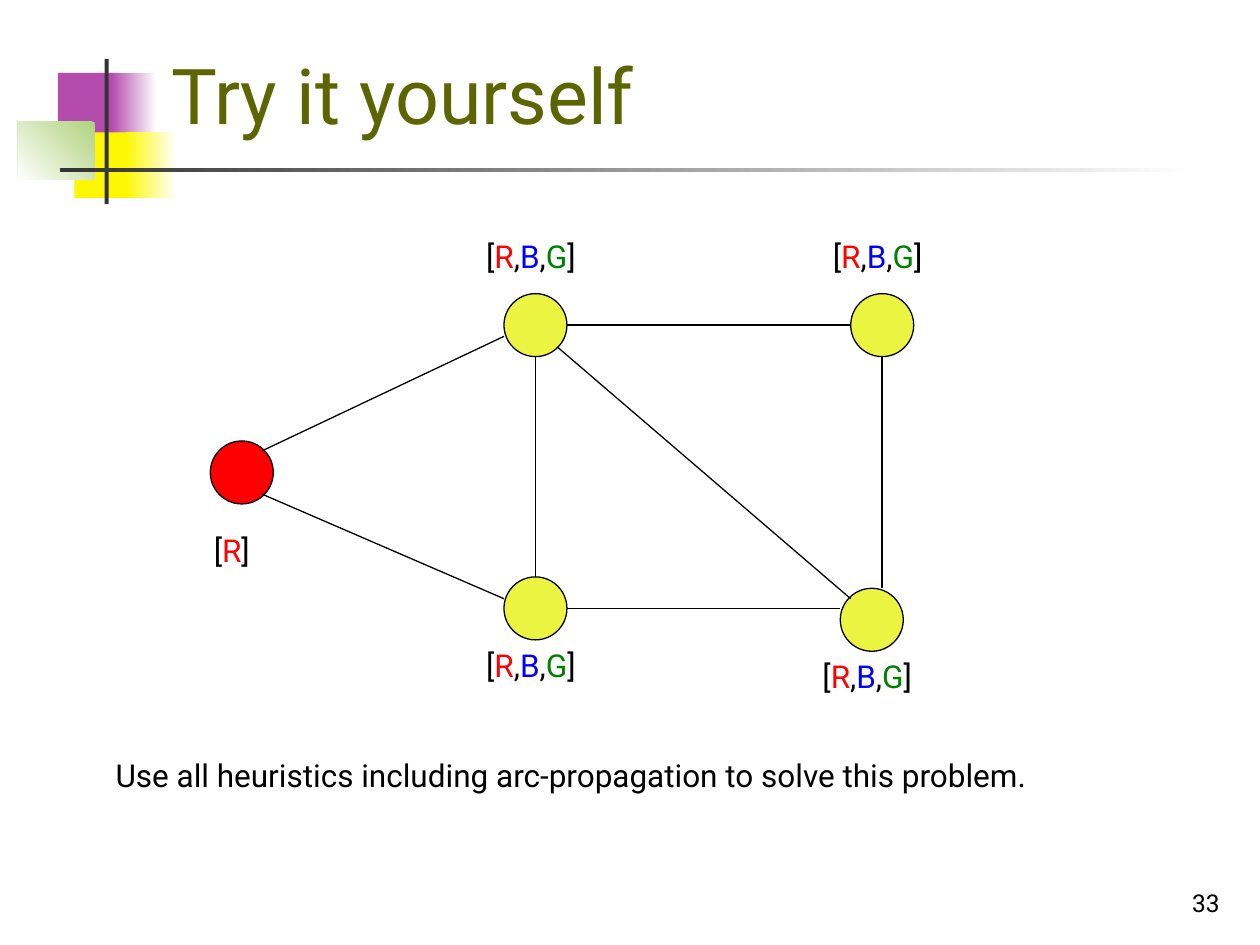
from dataclasses import dataclass

from lxml import etree
from pptx import Presentation
from pptx.dml.color import RGBColor
from pptx.enum import shapes, text
from pptx.oxml.ns import qn
from pptx.util import Cm, Pt


@dataclass(frozen=True)
class Theme:
    font: str = "Roboto"
    title_size: int = 44
    body_size: int = 18
    number_size: int = 14
    title: str = "5B6501"
    ink: str = "000000"
    white: str = "FFFFFF"
    purple: str = "B44CAD"
    yellow: str = "FDF703"
    green: str = "B0D27E"
    bar: str = "333333"
    unassigned: str = "EBF440"
    red: str = "FF0000"
    domain_blue: str = "0000FF"
    domain_green: str = "008000"
    line_width: float = 0.75


THEME = Theme()
DOMAIN_COLORS = {"R": THEME.red, "B": THEME.domain_blue, "G": THEME.domain_green}
NODE_SIZE = 1.27
TEXT_HEIGHT = 1.02


# All positions and sizes below are in centimetres.
@dataclass(frozen=True)
class Block:
    left: float
    top: float
    width: float
    height: float
    colors: tuple[str, ...]  # one colour is solid, two make a gradient
    angle: int = 180  # counter-clockwise


@dataclass(frozen=True)
class Node:
    left: float
    top: float
    domain: str
    label_dx: float
    label_dy: float
    label_width: float = 2.54
    color: str = THEME.unassigned


@dataclass(frozen=True)
class Edge:
    x1: float
    y1: float
    x2: float
    y2: float


BLOCKS = [
    Block(1.17, 1.47, 1.22, 1.32, (THEME.purple,)),
    Block(2.24, 1.47, 0.91, 1.32, (THEME.white, THEME.purple)),
    Block(1.5, 2.67, 1.17, 1.32, (THEME.yellow,)),
    Block(2.54, 2.67, 1.02, 1.32, (THEME.white, THEME.yellow)),
    Block(0.36, 2.46, 1.55, 1.17, (THEME.green, THEME.white), 225),
    Block(2.11, 1.19, 0.08, 2.92, (THEME.bar,)),
    Block(1.22, 3.38, 22.86, 0.08, (THEME.white, THEME.bar)),
]
NODES = [
    Node(4.24, 8.89, "[R]", -0.18, 1.7, 1.32, THEME.red),
    Node(10.16, 11.63, "[R,B,G]", -0.61, 1.27),
    Node(10.16, 5.92, "[R,B,G]", -0.61, -1.27),
    Node(16.94, 11.86, "[R,B,G]", -0.61, 1.27),
    Node(17.15, 5.92, "[R,B,G]", -0.61, -1.27),
]
EDGES = [
    Edge(5.28, 9.09, 10.16, 6.78),
    Edge(5.28, 9.96, 10.16, 12.07),
    Edge(10.8, 7.19, 10.8, 11.63),
    Edge(11.43, 6.55, 17.15, 6.55),
    Edge(17.78, 7.19, 17.78, 11.86),
    Edge(11.43, 12.27, 16.94, 12.27),
    Edge(11.23, 6.99, 17.15, 12.07),
]


def rgb(color: str) -> RGBColor:
    return RGBColor.from_string(color)


def draw_block(slide, block: Block) -> None:
    shape = slide.shapes.add_shape(
        shapes.MSO_SHAPE.RECTANGLE,
        Cm(block.left), Cm(block.top), Cm(block.width), Cm(block.height))
    shape.shadow.inherit = False
    shape.line.fill.background()
    if len(block.colors) == 1:
        shape.fill.solid()
        shape.fill.fore_color.rgb = rgb(block.colors[0])
        return
    shape.fill.gradient()
    shape.fill.gradient_angle = block.angle
    for stop, color in zip(shape.fill.gradient_stops, block.colors):
        stop.color.rgb = rgb(color)


def add_text(slide, left: float, top: float, width: float, height: float,
             size: int = THEME.body_size, color: str = THEME.ink, wrap: bool = False,
             anchor=text.MSO_ANCHOR.TOP, align=text.PP_ALIGN.LEFT):
    """Add a text box and return its paragraph, ready to be filled."""
    box = slide.shapes.add_textbox(Cm(left), Cm(top), Cm(width), Cm(height))
    frame = box.text_frame
    frame.word_wrap = wrap
    frame.vertical_anchor = anchor
    paragraph = frame.paragraphs[0]
    paragraph.alignment = align
    paragraph.font.name = THEME.font
    paragraph.font.size = Pt(size)
    paragraph.font.color.rgb = rgb(color)
    return paragraph


def draw_node(slide, node: Node) -> None:
    shape = slide.shapes.add_shape(
        shapes.MSO_SHAPE.OVAL,
        Cm(node.left), Cm(node.top), Cm(NODE_SIZE), Cm(NODE_SIZE))
    shape.shadow.inherit = False
    shape.fill.solid()
    shape.fill.fore_color.rgb = rgb(node.color)
    shape.line.color.rgb = rgb(THEME.ink)
    shape.line.width = Pt(THEME.line_width)


def draw_domain(slide, node: Node) -> None:
    paragraph = add_text(slide, node.left + node.label_dx, node.top + node.label_dy,
                         node.label_width, TEXT_HEIGHT)
    for letter in node.domain:
        run = paragraph.add_run()
        run.text = letter
        run.font.color.rgb = rgb(DOMAIN_COLORS.get(letter, THEME.ink))


def draw_edge(slide, edge: Edge) -> None:
    connector = slide.shapes.add_connector(
        shapes.MSO_CONNECTOR.STRAIGHT,
        Cm(edge.x1), Cm(edge.y1), Cm(edge.x2), Cm(edge.y2))
    connector.line.color.rgb = rgb(THEME.ink)
    connector.line.width = Pt(THEME.line_width)
    etree.SubElement(connector._element.spPr, qn("a:effectLst"))


def main() -> None:
    presentation = Presentation()
    presentation.slide_width = Cm(25.4)
    presentation.slide_height = Cm(19.05)
    slide = presentation.slides.add_slide(presentation.slide_layouts[6])

    # Corner decoration and title
    for block in BLOCKS:
        draw_block(slide, block)
    add_text(slide, 3.2, 0.58, 21.64, 2.36, THEME.title_size, THEME.title, True,
             text.MSO_ANCHOR.BOTTOM).add_run().text = "Try it yourself"

    # Constraint graph
    for node in NODES:
        draw_node(slide, node)
    for edge in EDGES:
        draw_edge(slide, edge)
    for node in NODES:
        draw_domain(slide, node)

    # Task and slide number
    add_text(slide, 2.08, 15.11, 20.04, TEXT_HEIGHT).add_run().text = (
        "Use all heuristics including arc-propagation to solve this problem.")
    add_text(slide, 19.56, 17.35, 5.28, 1.27, THEME.number_size, wrap=True,
             anchor=text.MSO_ANCHOR.BOTTOM,
             align=text.PP_ALIGN.RIGHT).add_run().text = "33"

    presentation.save("out.pptx")


if __name__ == "__main__":
    main()
